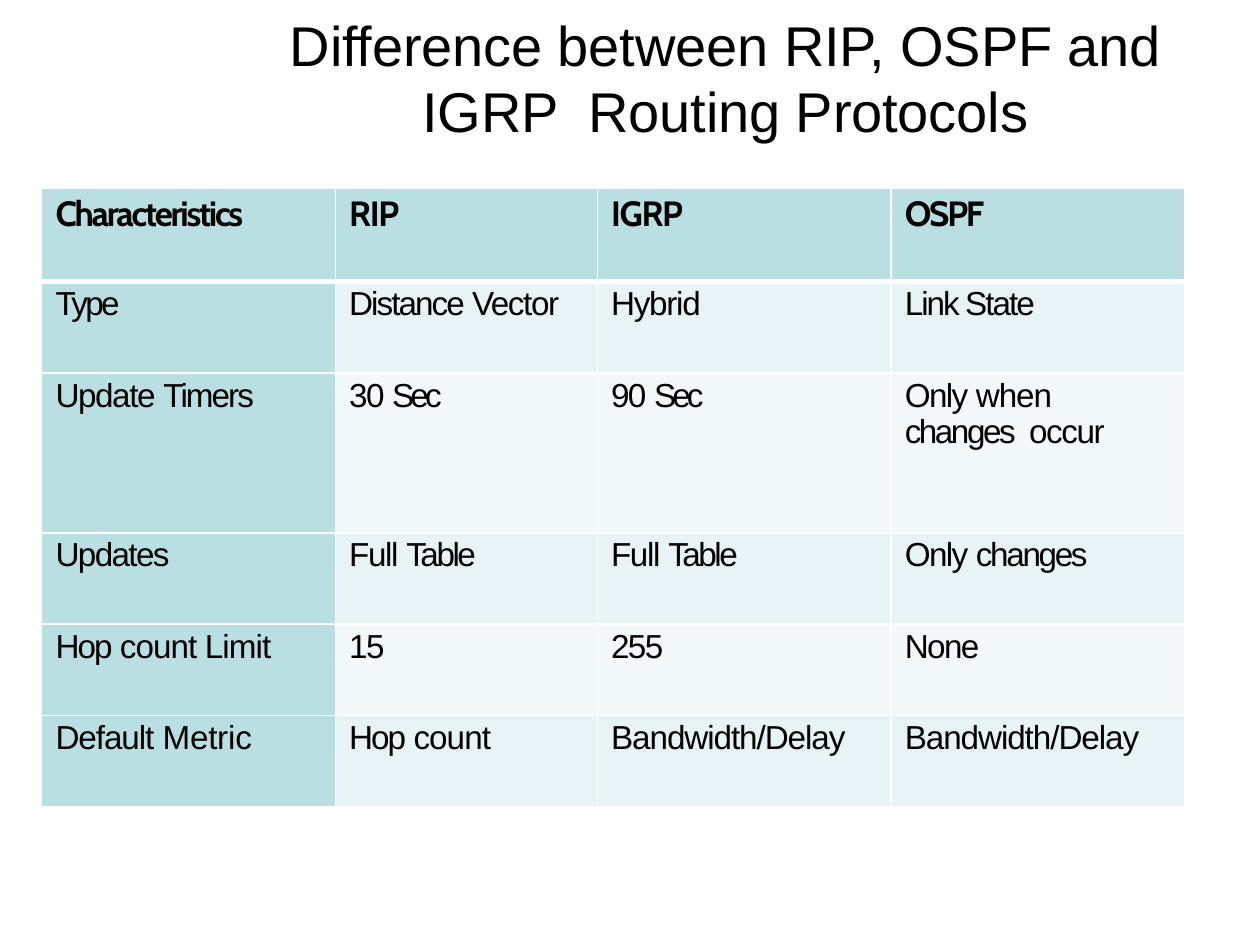
import pptx
import pptx.dml.color
import pptx.enum.text
import pptx.oxml
import pptx.oxml.ns
import pptx.util

Cm = pptx.util.Cm
Pt = pptx.util.Pt

COLORS = {
    "text": "000000",
    "border": "FFFFFF",
    "heading": "BADFE2",
    "band_dark": "E7F3F4",
    "band_light": "F3F8F9",
}

COLUMN_WIDTHS = (5.92, 5.28, 5.92, 5.92)
ROW_HEIGHTS = (1.88, 1.84, 3.22, 1.84, 1.84, 1.84)

# Each cell is a list of (text, character spacing in points)
FULL_TABLE = [("Full ", -0.8), ("Table", -1.4)]
BANDWIDTH = [("Bandwidth/Delay", -0.6)]
ROWS = [
    [[("Characteristics", -1.3)], [("RIP", -0.8)], [("IGRP", -0.8)], [("OSPF", -1.3)]],
    [[("Type", -1.5)], [("Distance ", -1.1), ("Vector", -0.8)],
     [("Hybrid", -0.7)], [("Link State", -1.1)]],
    [[("Update ", -0.8), ("Timers", -1.1)],
     [("30 ", -0.9), ("Sec", -2.2)], [("90 ", -0.9), ("Sec", -2.2)],
     [("Only ", -0.9), ("when ", -0.6), ("changes  ", -1.4), ("occur", -0.8)]],
    [[("Updates", -0.9)], FULL_TABLE, FULL_TABLE, [("Only ", -0.9), ("changes", -1.3)]],
    [[("Hop ", -1.1), ("count Limit", -0.5)], [("15", -0.9)], [("255", -0.9)], [("None", -0.9)]],
    [[("Default ", -0.6), ("Metric", -0.1)], [("Hop ", -1.1), ("count", -0.5)],
     BANDWIDTH, BANDWIDTH],
]


def color(name):
    return pptx.dml.color.RGBColor.from_string(COLORS[name])


def write_text(text_frame, runs, size, font="Arial", bold=False, align="LEFT",
               indent=0.28, before=2.4, line_spacing=None):
    """Fill the first paragraph with (text, character spacing) runs."""
    paragraph = text_frame.paragraphs[0]
    paragraph.alignment = getattr(pptx.enum.text.PP_ALIGN, align)
    paragraph.space_before = Pt(before)
    if line_spacing:
        paragraph.line_spacing = Pt(line_spacing)
    properties = paragraph._p.get_or_add_pPr()
    properties.set("marL", str(Cm(indent)))
    properties.set("indent", "0")
    for text, spacing in runs:
        run = paragraph.add_run()
        run.text = text
        run.font.size = Pt(size)
        run.font.name = font
        run.font.bold = bold
        run.font.color.rgb = color("text")
        run._r.get_or_add_rPr().set("spc", str(round(spacing * 100)))


def set_borders(cell, top, bottom):
    """Draw the four cell borders; widths are in points."""
    properties = cell._tc.get_or_add_tcPr()
    for side, width in (("L", 1), ("R", 1), ("T", top), ("B", bottom)):
        properties.append(pptx.oxml.parse_xml(
            f'<a:ln{side} {pptx.oxml.ns.nsdecls("a")} w="{Pt(width)}">'
            f'<a:solidFill><a:srgbClr val="{COLORS["border"]}"/></a:solidFill>'
            f'</a:ln{side}>'))


def add_title(slide, left, top, width, height):
    box = slide.shapes.add_textbox(Cm(left), Cm(top), Cm(width), Cm(height))
    text_frame = box.text_frame
    text_frame.word_wrap = True
    text_frame.margin_left = text_frame.margin_right = text_frame.margin_bottom = 0
    text_frame.margin_top = Cm(0.1)
    write_text(text_frame,
               [("Difference between RIP, OSPF and IGRP  Routing Protocols", -0.1)],
               size=32, align="CENTER", indent=1.09, before=3, line_spacing=37.4)


def add_comparison_table(slide, left, top):
    table = slide.shapes.add_table(
        len(ROWS), len(COLUMN_WIDTHS), Cm(left), Cm(top),
        Cm(sum(COLUMN_WIDTHS)), Cm(sum(ROW_HEIGHTS))).table
    table.first_row = table.horz_banding = False
    for column, width in zip(table.columns, COLUMN_WIDTHS):
        column.width = Cm(width)
    for row, height in zip(table.rows, ROW_HEIGHTS):
        row.height = Cm(height)

    for row_index, row in enumerate(ROWS):
        header = row_index == 0
        band = "band_dark" if row_index % 2 else "band_light"
        for column_index, runs in enumerate(row):
            cell = table.cell(row_index, column_index)
            cell.margin_left = cell.margin_right = cell.margin_bottom = 0
            cell.margin_top = Cm(0.08)
            # Thick rule between the header and the body
            set_borders(cell, top=3 if row_index == 1 else 1, bottom=3 if header else 1)
            cell.fill.solid()
            cell.fill.fore_color.rgb = color(
                "heading" if header or column_index == 0 else band)
            if header:
                write_text(cell.text_frame, runs, size=20, font="Cabin", bold=True, before=2.3)
            else:
                write_text(cell.text_frame, runs, size=19)
    # Keep "changes occur" together on the second line
    table.cell(2, 3).margin_right = Cm(1.2)


def main():
    presentation = pptx.Presentation()
    presentation.slide_width = Cm(25.4)
    presentation.slide_height = Cm(19.05)
    slide = presentation.slides.add_slide(presentation.slide_layouts[6])
    add_comparison_table(slide, left=0.84, top=3.8)
    add_title(slide, left=4.45, top=0.15, width=19.25, height=2.74)
    presentation.save("out.pptx")


if __name__ == "__main__":
    main()
